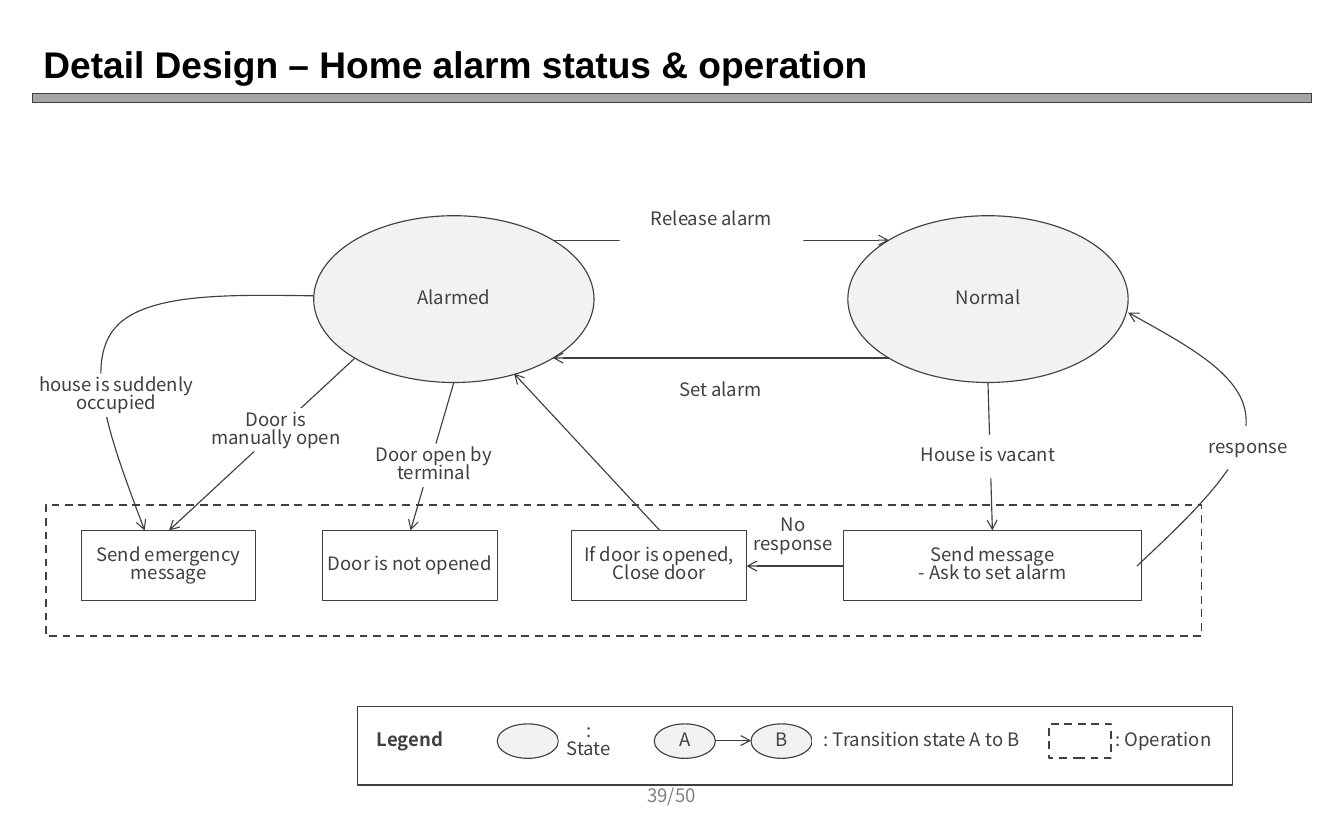
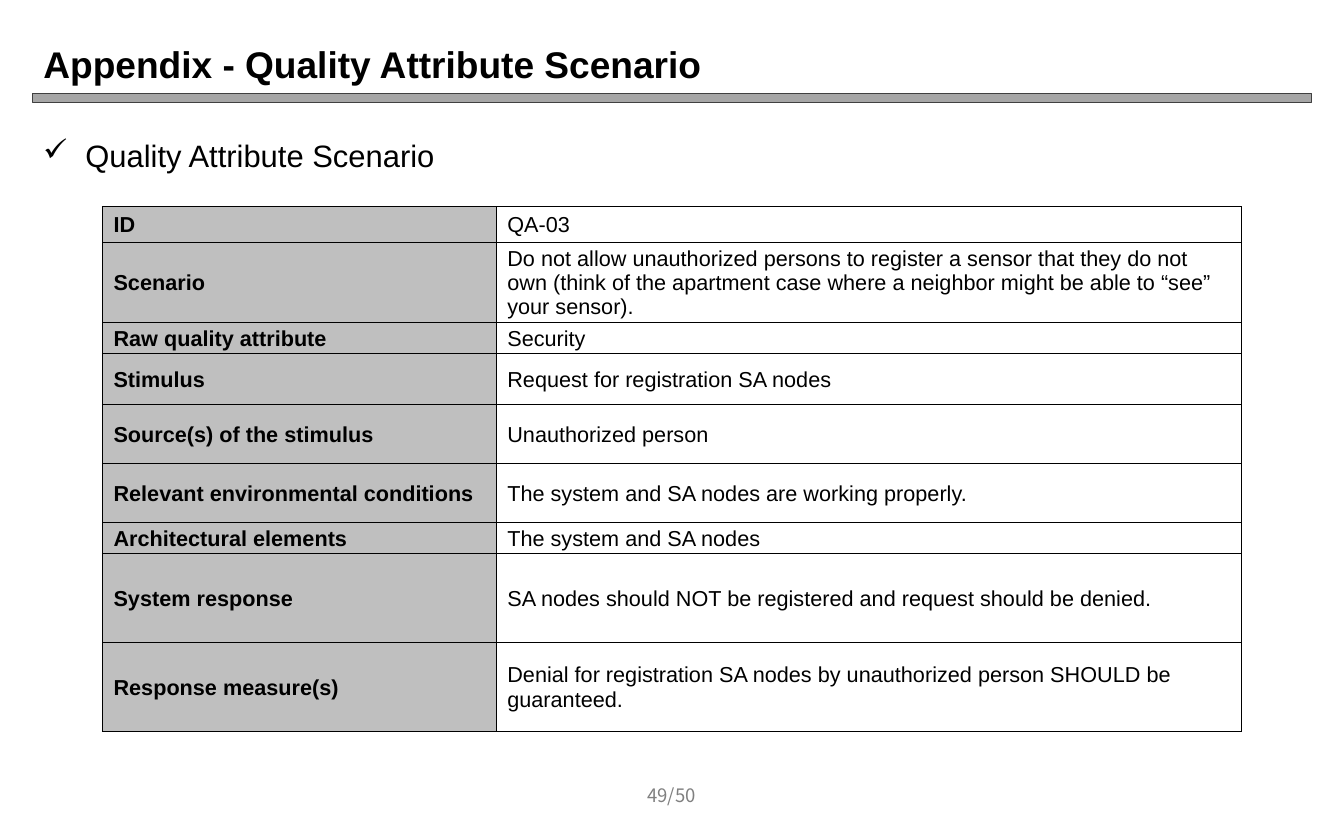
from lxml import etree
from pptx import Presentation
from pptx.dml.color import RGBColor
from pptx.enum.dml import MSO_LINE
from pptx.enum.shapes import MSO_CONNECTOR, MSO_SHAPE
from pptx.enum.text import MSO_ANCHOR, MSO_AUTO_SIZE, PP_ALIGN
from pptx.oxml.ns import qn
from pptx.util import Inches, Pt

rgb = RGBColor.from_string
INK, GREY, BLACK, WHITE = "404040", "808080", "000000", "FFFFFF"
BAR, STATE, HEADER = "A6A6A6", "F2F2F2", "BFBFBF"
SANS, NOTO = "Arial", "Noto Sans CJK KR"

prs = Presentation()
prs.slide_width, prs.slide_height = Inches(12.08), Inches(7.5)
COL, ROW = prs.slide_width / 100, prs.slide_height / 100


def place(*lengths):
    """Turn alternating column and row counts into slide lengths."""
    return [int(n * (ROW if i % 2 else COL)) for i, n in enumerate(lengths)]


def write(tf, text, font, size, color, bold=False, align=PP_ALIGN.LEFT, spacing=None):
    tf.word_wrap = True
    tf.vertical_anchor = MSO_ANCHOR.MIDDLE
    for i, line in enumerate(text.split("\n")):
        p = tf.add_paragraph() if i else tf.paragraphs[0]
        p.alignment, p.line_spacing = align, spacing
        r = p.add_run()
        r.text = line
        r.font.name, r.font.size, r.font.bold = font, Pt(size), bold
        r.font.color.rgb = rgb(color)


# Shared title, rule and page number
slides = []
for title, page in [("Detail Design – Home alarm status & operation", "39/50"),
                    ("Appendix - Quality Attribute Scenario", "49/50")]:
    s = prs.slides.add_slide(prs.slide_layouts[5])
    slides.append(s)
    bar = s.shapes.add_shape(MSO_SHAPE.FLOWCHART_PROCESS, *place(2.4, 11.2, 95.2, 1.07))
    bar.shadow.inherit = False
    bar.fill.solid()
    bar.fill.fore_color.rgb = rgb(BAR)
    bar.line.color.rgb, bar.line.width = rgb(INK), Pt(0.75)

    sp = s.shapes.title
    sp.left, sp.top, sp.width, sp.height = place(2.4, 4, 95.2, 7.2)
    sp.text_frame.auto_size = MSO_AUTO_SIZE.NONE
    write(sp.text_frame, title, SANS, 24, BLACK, bold=True)

    sp = s.shapes.add_textbox(*place(45.45, 92.67, 9.02, 5.33))
    write(sp.text_frame, page, NOTO, 12, GREY, align=PP_ALIGN.CENTER)

# Slide 1: state diagram
s = slides[0]
OP_Y, OP_H, OP_W = 63.6, 8.4, 13
STATE_Y, STATE_W, STATE_H = 25.87, 20.86, 20
LABEL_H, LABEL_W = 5.2, 10.76
KEY_Y, KEY_W, KEY_H = 86.8, 4.55, 4.13

# kind: preset, fill, line width, dashed
styles = {
    "state": (MSO_SHAPE.OVAL, STATE, 0.75, False),
    "box": (MSO_SHAPE.RECTANGLE, WHITE, 0.75, False),
    "group": (MSO_SHAPE.RECTANGLE, WHITE, 1.25, True),
    "label": (MSO_SHAPE.RECTANGLE, WHITE, 0, False),
    "heading": (MSO_SHAPE.RECTANGLE, WHITE, 0, False),
}
nodes = [
    ("group", 3.4, 60.53, 86, 15.73, ""),
    ("label", 53.64, 61.6, LABEL_W, LABEL_H, "No\nresponse"),
    ("state", 23.34, STATE_Y, STATE_W, STATE_H, "Alarmed"),
    ("state", 63.08, STATE_Y, STATE_W, STATE_H, "Normal"),
    ("box", 6.04, OP_Y, OP_W, OP_H, "Send emergency message"),
    ("box", 24, OP_Y, OP_W, OP_H, "Door is not opened"),
    ("box", 42.55, OP_Y, OP_W, OP_H, "If door is opened,\nClose door"),
    ("box", 62.75, OP_Y, 22.19, OP_H, "Send message\n- Ask to set alarm"),
    ("box", 26.57, 84.67, 65.15, 9.47, ""),
]
nodes += [("state", x, KEY_Y, KEY_W, KEY_H, text)
          for x, text in [(37, ""), (48.68, "A"), (55.88, "B")]]
labels = [
    ("label", 67.96, 52.13, 11.09, LABEL_H, "House is vacant"),
    ("label", 46.77, 44.27, 13.66, LABEL_H, "Set alarm"),
    ("label", 46.11, 23.73, 13.66, LABEL_H, "Release alarm"),
    ("label", 26.9, 53.2, LABEL_W, LABEL_H, "Door open by terminal"),
    ("label", 15.15, 48.93, LABEL_W, LABEL_H, "Door is manually open"),
    ("label", 2.15, 44.8, OP_W, LABEL_H, "house is suddenly occupied"),
    ("label", 88.82, 51.07, 8.11, LABEL_H, "response"),
    ("heading", 27.24, KEY_Y, 6.54, KEY_H, "Legend"),
    ("label", 41.56, KEY_Y, 4.5, KEY_H, ": State"),
    ("label", 60.43, KEY_Y, 16.31, KEY_H, ": Transition state A to B"),
    ("label", 82.62, KEY_Y, 7.9, KEY_H, ": Operation"),
    ("group", 78.06, KEY_Y, 4.64, KEY_H, ""),
]
# Two points make a straight arrow; more are the control points of Bézier curves
arrows = [
    [(41.14, 28.8), (66.14, 28.8)],
    [(66.14, 42.93), (41.14, 42.93)],
    [(73.51, 45.87), (73.84, OP_Y)],
    [(62.75, 67.87), (55.55, 67.87)],
    [(49.09, OP_Y), (38.25, 44.8)],
    [(33.77, 45.87), (30.55, OP_Y)],
    [(26.41, 42.93), (12.58, OP_Y)],
    [(53.31, 88.8), (55.88, 88.8)],
    [(84.6, 67.87), (88.74, 61.6), (92.88, 55.33), (92.72, 50.27),
     (92.63, 45.2), (88.25, 41.33), (83.94, 37.47)],
    [(23.34, 35.47), (16.89, 35.33), (10.43, 35.07), (8.36, 39.73),
     (6.29, 44.4), (8.53, 54), (10.76, OP_Y)],
]

for item in nodes + arrows + labels:
    if isinstance(item, list):
        points = [place(*point) for point in item]
        if len(points) == 2:
            sp = s.shapes.add_connector(MSO_CONNECTOR.STRAIGHT, *points[0], *points[1])
            etree.SubElement(sp._element.spPr, qn("a:effectLst"))
        else:
            outline = s.shapes.build_freeform(*points[0])
            outline.add_line_segments(points[1:], close=False)
            sp = outline.convert_to_shape()
            sp.shadow.inherit = False
            sp.fill.background()
            segments = list(sp._element.iter(qn("a:lnTo")))
            for i in range(0, len(segments), 3):
                curve = etree.SubElement(segments[i].getparent(), qn("a:cubicBezTo"))
                for segment in segments[i:i + 3]:
                    curve.append(segment[0])
                    segment.getparent().remove(segment)
        sp.line.color.rgb, sp.line.width = rgb(INK), Pt(0.75)
        etree.SubElement(sp.line._get_or_add_ln(), qn("a:tailEnd"), type="arrow")
        continue

    kind, *box, text = item
    preset, fill, width, dashed = styles[kind]
    sp = s.shapes.add_shape(preset, *place(*box))
    sp.shadow.inherit = False
    sp.fill.solid()
    sp.fill.fore_color.rgb = rgb(fill)
    if width:
        sp.line.color.rgb, sp.line.width = rgb(INK), Pt(width)
    else:
        sp.line.fill.background()
    if dashed:
        sp.line.dash_style = MSO_LINE.DASH
    if text:
        tf = sp.text_frame
        tf.margin_left = tf.margin_right = tf.margin_top = tf.margin_bottom = Inches(0.04)
        write(tf, text, NOTO, 12, INK, kind == "heading", PP_ALIGN.CENTER, 0.82)

# Slide 2: scenario table
s = slides[1]
sp = s.shapes.add_textbox(*place(2.4, 15.7, 95.2, 6))
pPr = sp.text_frame.paragraphs[0]._p.get_or_add_pPr()
pPr.set("marL", str(Inches(0.38)))
pPr.set("indent", str(-Inches(0.38)))
etree.SubElement(pPr, qn("a:buChar"), char="✓")
write(sp.text_frame, "Quality Attribute Scenario", SANS, 20, BLACK)
sp.text_frame.vertical_anchor = MSO_ANCHOR.TOP

rows = [
    (4.27, "ID", "QA-03"),
    (9.6, "Scenario", "Do not allow unauthorized persons to register a sensor that they do not own "
     "(think of the apartment case where a neighbor might be able to “see” your sensor)."),
    (3.73, "Raw quality attribute", "Security"),
    (6.13, "Stimulus", "Request for registration SA nodes"),
    (7.07, "Source(s) of the stimulus", "Unauthorized person"),
    (7.07, "Relevant environmental conditions", "The system and SA nodes are working properly."),
    (3.73, "Architectural elements", "The system and SA nodes"),
    (10.67, "System response", "SA nodes should NOT be registered and request should be denied."),
    (10.67, "Response measure(s)",
     "Denial for registration SA nodes by unauthorized person SHOULD be guaranteed."),
]
widths = (29.3, 55.46)
height = sum(row[0] for row in rows)
table = s.shapes.add_table(len(rows), 2, *place(7.62, 24.8, sum(widths), height)).table
table.first_row = table.horz_banding = False
for column, width in zip(table.columns, widths):
    column.width = int(width * COL)
for i, (row_height, *texts) in enumerate(rows):
    table.rows[i].height = int(row_height * ROW)
    for j, text in enumerate(texts):
        cell = table.cell(i, j)
        cell.margin_left = cell.margin_right = Inches(0.1)
        cell.margin_top, cell.margin_bottom = Inches(0.01), 0
        cell.vertical_anchor = MSO_ANCHOR.MIDDLE
        write(cell.text_frame, text, SANS, 14, BLACK, bold=j == 0)
        tcPr = cell._tc.get_or_add_tcPr()
        for side in ("a:lnL", "a:lnR", "a:lnT", "a:lnB"):
            ln = etree.SubElement(tcPr, qn(side), w=str(Pt(1)))
            solid = etree.SubElement(ln, qn("a:solidFill"))
            etree.SubElement(solid, qn("a:srgbClr"), val=BLACK)
        if j == 0:
            cell.fill.solid()
            cell.fill.fore_color.rgb = rgb(HEADER)
        else:
            cell.fill.background()

prs.save("out.pptx")
